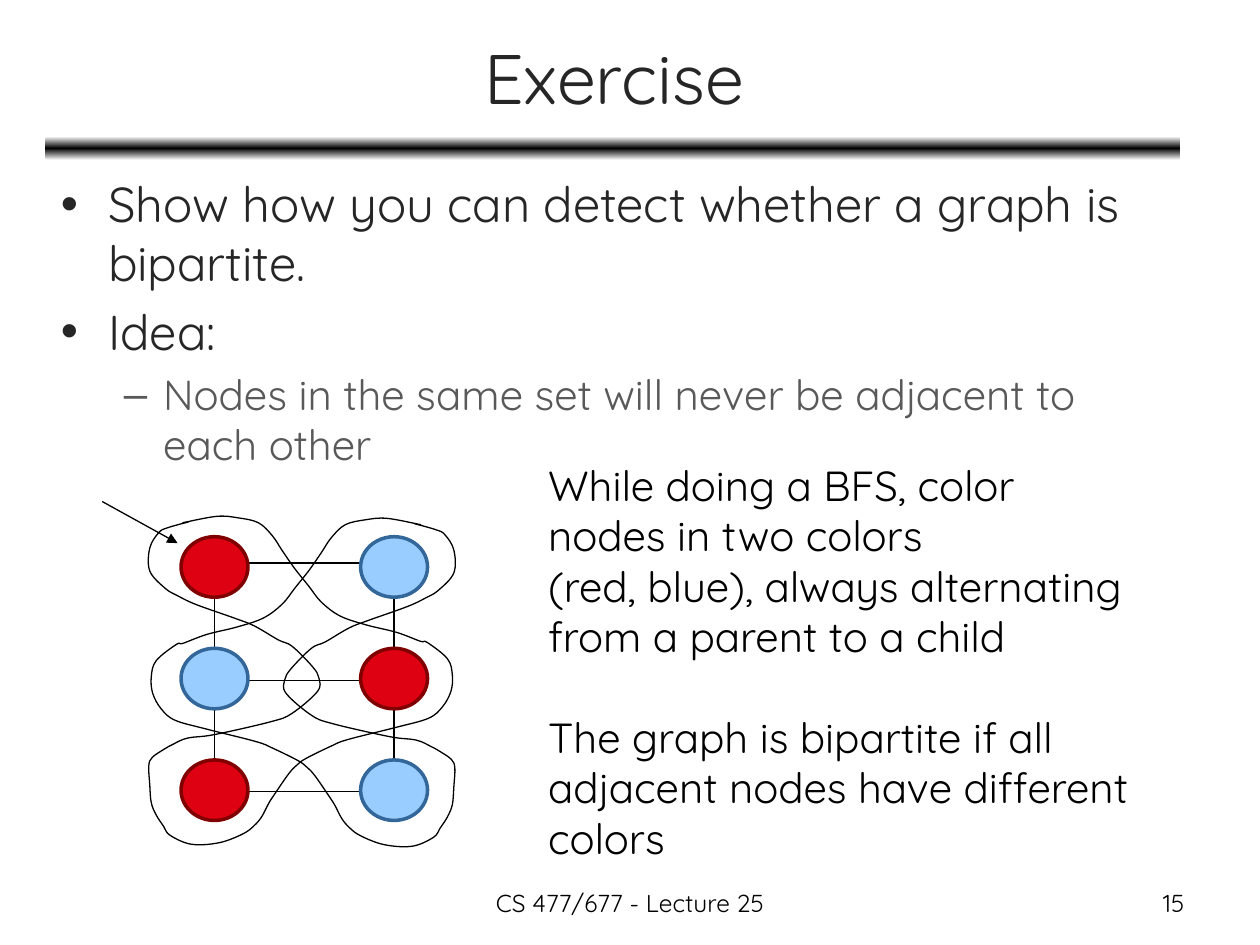
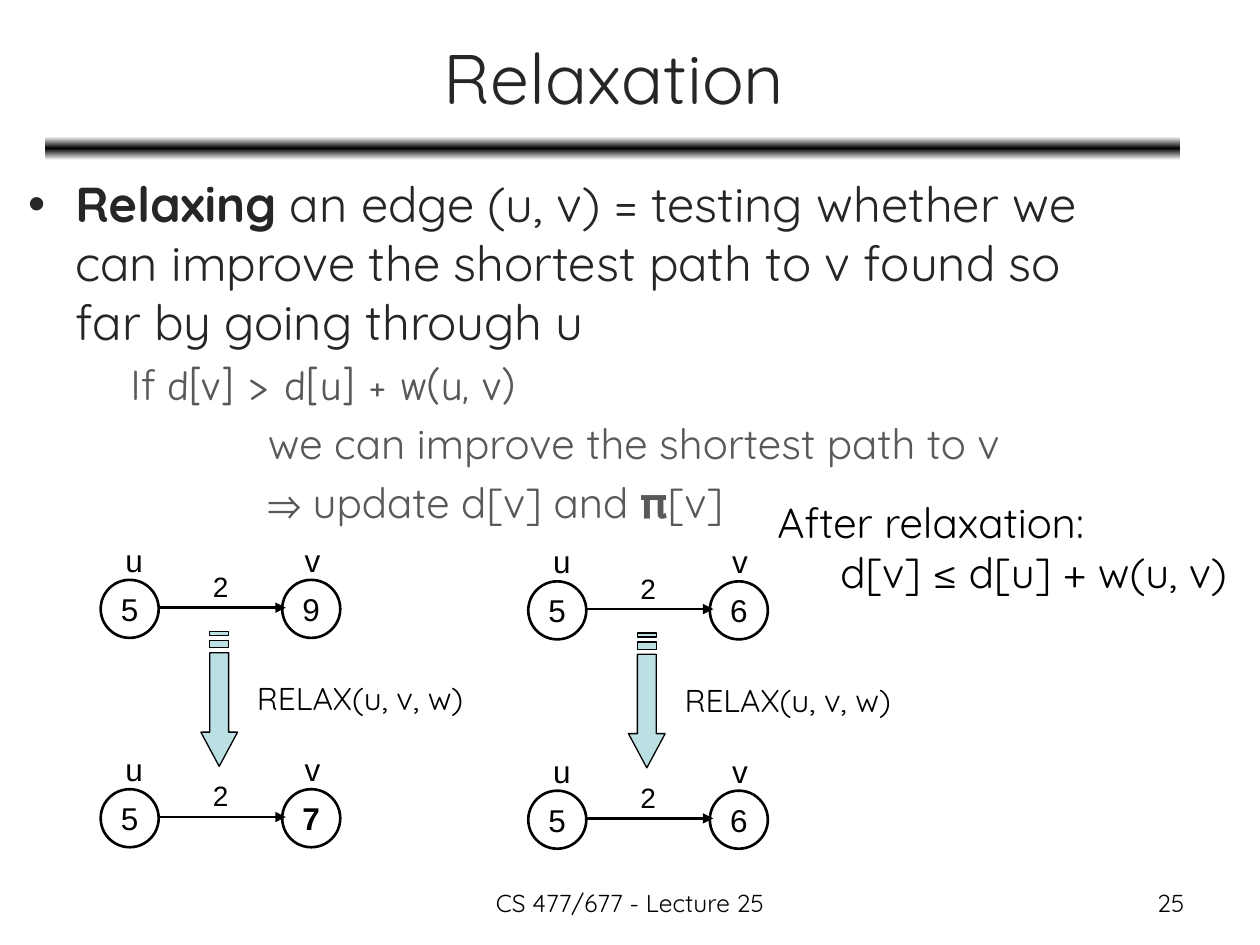
from copy import deepcopy
from itertools import product

from lxml.etree import SubElement
from pptx import Presentation
from pptx.dml.color import RGBColor
from pptx.enum.shapes import MSO_CONNECTOR as Link, MSO_SHAPE as Preset
from pptx.enum.text import MSO_ANCHOR as Anchor, PP_ALIGN as Align
from pptx.oxml.ns import qn
from pptx.util import Cm, Pt

BLACK, WHITE, INK, GREY = "000000", "FFFFFF", "262626", "595959"
RED, BLUE, TEAL = ("DD0111", "800000"), ("99CCFF", "336699"), "BBE0E3"

TITLE = dict(name="Quicksand", size=Pt(40), color=INK)
POINT = dict(name="Quicksand", size=Pt(28), color=INK)
DETAIL = dict(name="Quicksand", size=Pt(24), color=GREY)
REMARK = dict(DETAIL, color=BLACK)
CALL = dict(REMARK, size=Pt(18))
FOOTER = dict(REMARK, size=Pt(14))
VERTEX = dict(name="Arial", size=Pt(18), color=BLACK)
WEIGHT = dict(VERTEX, size=Pt(16))

BULLET = dict(margin=0.95, hang=-0.95, bullet="•", space_before=Pt(5.6))
DASH = dict(margin=2.06, hang=-0.79, bullet="–", space_before=Pt(4.8))
CONDITION = dict(margin=2.06, hang=0, space_before=Pt(4.8))
CONSEQUENCE = dict(CONDITION, margin=4.83)

COURSE = "CS 477/677 - Lecture 25"

EXERCISE = [
    ([("Show how you can detect whether a graph is bipartite.", POINT)], BULLET),
    ([("Idea:", POINT)], BULLET),
    ([("Nodes in the same set will never be adjacent to each other", DETAIL)], DASH),
]
COLORING = [
    ([("While doing a BFS, color ", REMARK)], {}),
    ([("nodes in two colors ", REMARK)], {}),
    ([("(red, blue), always alternating ", REMARK)], {}),
    ([("from a parent to a child", REMARK)], {}),
    ([("The graph is bipartite if all adjacent nodes have different colors", REMARK)],
     dict(space_before=Pt(28.8))),
]
RELAXATION = [
    ([("Relaxing ", dict(POINT, bold=True)),
      ("an edge (u, v) = testing whether we can improve the shortest path to v "
       "found so far by going through u", POINT)], BULLET),
    ([("If ", DETAIL), ("d[v] > d[u] + w(u, v) ", dict(DETAIL, name="Comic Neue"))], CONDITION),
    ([("we can improve the shortest path to v ", DETAIL)], CONSEQUENCE),
    ([("⇒ update d[v] and \U0001d6d1[v]", DETAIL)], CONSEQUENCE),
]
RESULT = [
    ([("After relaxation:", REMARK)], {}),
    ([("d[v] ≤ d[u] + w(u, v)", REMARK)], dict(margin=1.27, hang=0)),
]
DISTANCES = {(0, 0): ("5", "9"), (0, 1): ("5", "7"), (1, 0): ("5", "6"), (1, 1): ("5", "6")}

SET_OUTLINE = [
    (3.81, 10.52), (3.38, 10.64), (3.2, 10.74), (3.02, 11.05), (3.02, 11.51), (3.33, 11.86),
    (3.58, 12.01), (3.96, 12.19), (4.75, 12.47), (5.13, 12.62), (5.61, 12.9), (5.89, 13.03),
    (6.3, 13.44), (6.43, 13.67), (6.4, 13.94), (5.89, 14.38), (5.46, 14.55), (4.32, 14.81),
    (3.78, 14.88), (3.48, 15.01), (3.3, 15.11), (3.07, 15.27), (3, 15.44), (3.02, 15.82),
    (3.05, 16.18), (3.15, 16.43), (3.3, 16.66), (3.43, 16.84), (3.86, 17.02), (4.42, 16.99),
    (4.9, 16.81), (5.13, 16.64), (5.28, 16.46), (5.41, 16.21), (5.51, 16.05), (5.82, 15.6),
    (5.99, 15.42), (6.17, 15.29), (6.68, 15.04), (7.01, 14.91), (8, 14.66), (8.64, 14.48),
    (8.92, 14.25), (9.09, 13.94), (9.12, 13.61), (9.02, 13.28), (8.61, 12.95), (8.48, 12.93),
    (8, 12.75), (7.39, 12.6), (6.86, 12.42), (6.48, 12.14), (6.22, 11.81), (5.94, 11.46),
    (5.69, 11.1), (5.49, 10.8), (5.21, 10.54), (4.8, 10.44), (4.37, 10.41), (3.68, 10.54),
]
ARROW_SHAFT = [(0.19, 1.47), (0.19, 3.07), (0.37, 3.07), (0, 3.76),
               (-0.37, 3.07), (-0.19, 3.07), (-0.19, 1.47)]
ARROW_STRIPES = [(1.22, 1.37), (1.04, 1.12)]


def rgb(color):
    return RGBColor.from_string(color)


def write(frame, paragraphs, wrap=True, anchor=Anchor.TOP, align=Align.LEFT):
    for key, value in dict(word_wrap=wrap, vertical_anchor=anchor).items():
        setattr(frame, key, value)
    for index, (runs, layout) in enumerate(paragraphs):
        paragraph = frame.add_paragraph() if index else frame.paragraphs[0]
        paragraph.alignment = align
        if "space_before" in layout:
            paragraph.space_before = layout["space_before"]
        if "margin" in layout:
            properties = paragraph._p.get_or_add_pPr()
            properties.set("marL", str(Cm(layout["margin"])))
            properties.set("indent", str(Cm(layout["hang"])))
            if "bullet" in layout:
                SubElement(properties, qn("a:buFont")).set("typeface", "Arial")
                SubElement(properties, qn("a:buChar")).set("char", layout["bullet"])
        for words, style in runs:
            run = paragraph.add_run()
            run.text = words
            for key, value in style.items():
                if key == "color":
                    run.font.color.rgb = rgb(value)
                else:
                    setattr(run.font, key, value)


def add_text(slide, box, paragraphs, **layout):
    write(slide.shapes.add_textbox(*map(Cm, box)).text_frame, paragraphs, **layout)


def add_label(slide, box, words, style, **layout):
    add_text(slide, box, [([(words, style)], {})], **layout)


def paint(shape, fill, line, width):
    shape.shadow.inherit = False
    if fill:
        shape.fill.solid()
        shape.fill.fore_color.rgb = rgb(fill)
    else:
        shape.fill.background()
    shape.line.color.rgb = rgb(line)
    shape.line.width = Pt(width)


def add_oval(slide, box, fill=None, line=BLACK, width=1.5):
    oval = slide.shapes.add_shape(Preset.OVAL, *map(Cm, box))
    paint(oval, fill, line, width)
    return oval


def add_line(slide, ends, width=0.75, arrow=False):
    line = slide.shapes.add_connector(Link.STRAIGHT, *map(Cm, ends))
    line.line.color.rgb = rgb(BLACK)
    line.line.width = Pt(width)
    if arrow:
        SubElement(line.line._get_or_add_ln(), qn("a:tailEnd")).set("type", "triangle")
    SubElement(line._element.spPr, qn("a:effectLst"))


def add_freeform(slide, contours, fill=None, close=True):
    first, *others = [[tuple(map(Cm, point)) for point in contour] for contour in contours]
    builder = slide.shapes.build_freeform(*first[0])
    builder.add_line_segments(first[1:], close=close)
    for contour in others:
        builder.move_to(*contour[0])
        builder.add_line_segments(contour[1:], close=close)
    shape = builder.convert_to_shape()
    paint(shape, fill, BLACK, 0.75)
    return shape


def bend(shape):
    segments = list(shape._element.spPr.find(".//" + qn("a:pathLst"))[0])
    points = [(int(s[0].get("x")), int(s[0].get("y"))) for s in segments]
    padded = [points[0], *points, points[-1]]
    for segment, a, b, c, d in zip(segments[1:], padded, padded[1:], padded[2:], padded[3:]):
        segment.tag = qn("a:cubicBezTo")
        leave = [q + (r - p) / 6 for p, q, r in zip(a, b, c)]
        reach = [q - (r - p) / 6 for p, q, r in zip(b, c, d)]
        segment.remove(segment[0])
        for x, y in (leave, reach, c):
            control = SubElement(segment, qn("a:pt"))
            control.set("x", str(round(x)))
            control.set("y", str(round(y)))


def add_slide(deck, title, number):
    slide = deck.slides.add_slide(deck.slide_layouts[6])
    rule = slide.shapes.add_shape(Preset.ROUNDED_RECTANGLE, *map(Cm, (0.91, 2.75, 22.89, 0.48)))
    rule.shadow.inherit = False
    rule.line.fill.background()
    rule.fill.gradient()
    rule.fill.gradient_angle = 90
    stops = rule._element.spPr.find(".//" + qn("a:gsLst"))
    stops.append(deepcopy(stops[0]))
    for stop, position, color in zip(rule.fill.gradient_stops, (0, 0.5, 1), (WHITE, BLACK, WHITE)):
        stop.position = position
        stop.color.rgb = rgb(color)
    add_label(slide, (0.95, 0.28, 22.86, 2.51), title, TITLE,
              anchor=Anchor.MIDDLE, align=Align.CENTER)
    add_label(slide, (8.68, 17.78, 8.05, 0.89), COURSE, FOOTER, align=Align.CENTER)
    add_label(slide, (18.21, 17.78, 5.92, 0.89), number, FOOTER, align=Align.RIGHT)
    return slide


def add_bipartite_graph(slide):
    lefts, tops, wide, high = (3.65, 7.27), (10.82, 13.07, 15.32), 1.35, 1.22
    for level in (11.35, 13.72, 15.95):
        add_line(slide, (lefts[0] + wide, level, lefts[1], level))
    for left, (upper, lower) in product(lefts, zip(tops, tops[1:])):
        center = left + wide / 2
        add_line(slide, (center, upper + high, center, lower))
    for (column, left), (row, top) in product(enumerate(lefts), enumerate(tops)):
        fill, line = BLUE if (row + column) % 2 else RED
        add_oval(slide, (left, top, wide, high), fill, line, 2)
    add_line(slide, (2.06, 10.11, 3.58, 10.95), arrow=True)
    mirrored = [(12.17 - x, y + 0.04) for x, y in SET_OUTLINE]
    for outline in (SET_OUTLINE, mirrored):
        bend(add_freeform(slide, [outline], close=False))


def add_edge(slide, left, top, distances):
    for name, distance, offset, shift in zip("uv", distances, (0, 3.66), (0.25, 0.2)):
        node = add_oval(slide, (left + offset, top, 1.17, 1.17))
        write(node.text_frame, [([(distance, dict(VERTEX, bold=distance == "7"))], {})],
              wrap=False, anchor=Anchor.MIDDLE, align=Align.CENTER)
        add_label(slide, (left + offset + shift, top - 0.91, 0.86, 1.02), name, VERTEX, wrap=False)
    add_line(slide, (left + 1.17, top + 0.56, left + 3.73, top + 0.56), 1.5, arrow=True)
    add_label(slide, (left + 2.01, top - 0.33, 0.81, 0.94), "2", WEIGHT, wrap=False)


def add_relax_step(slide, left, top):
    stripes = [[(0.19, start), (-0.19, start), (-0.19, end), (0.19, end)]
               for start, end in ARROW_STRIPES]
    add_freeform(slide, [[(left + 2.39 + x, top + y) for x, y in contour]
                         for contour in (ARROW_SHAFT, *stripes)], TEAL)
    add_label(slide, (left + 2.9, top + 1.88, 4.85, 1.02), "RELAX(u, v, w)", CALL, wrap=False)


deck = Presentation()
deck.slide_width, deck.slide_height = Cm(25.4), Cm(19.05)

exercise = add_slide(deck, "Exercise", "15")
add_text(exercise, (0.98, 3.38, 22.86, 6.43), EXERCISE)
add_bipartite_graph(exercise)
add_text(exercise, (10.8, 9.14, 14.2, 8.46), COLORING)

relaxation = add_slide(deck, "Relaxation", "25")
add_text(relaxation, (0.32, 3.38, 22.86, 8.1), RELAXATION)
for (column, row), distances in DISTANCES.items():
    left, top = 2.03 + 8.62 * column, 11.69 + 0.03 * column
    add_edge(relaxation, left, top + 4.22 * row, distances)
    if row == 0:
        add_relax_step(relaxation, left, top)
add_text(relaxation, (15.42, 9.88, 9.83, 2.31), RESULT)

deck.save("out.pptx")
